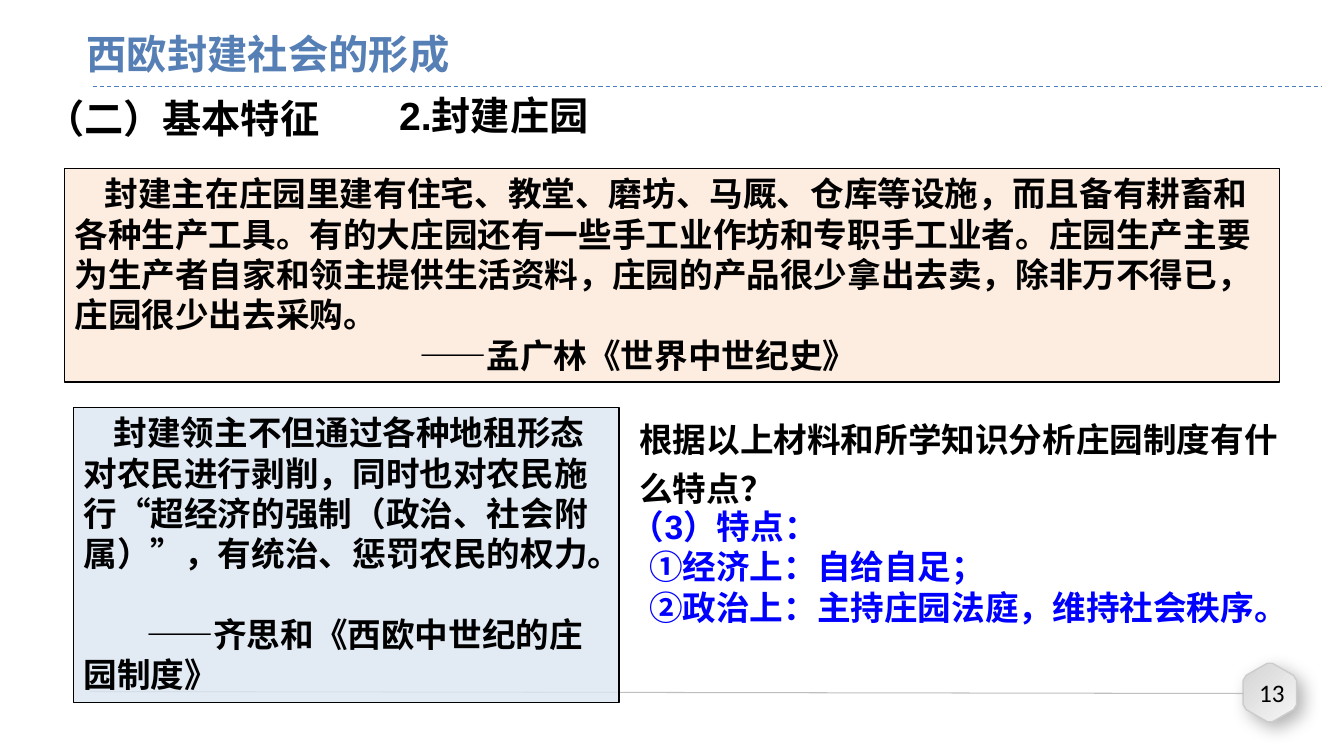
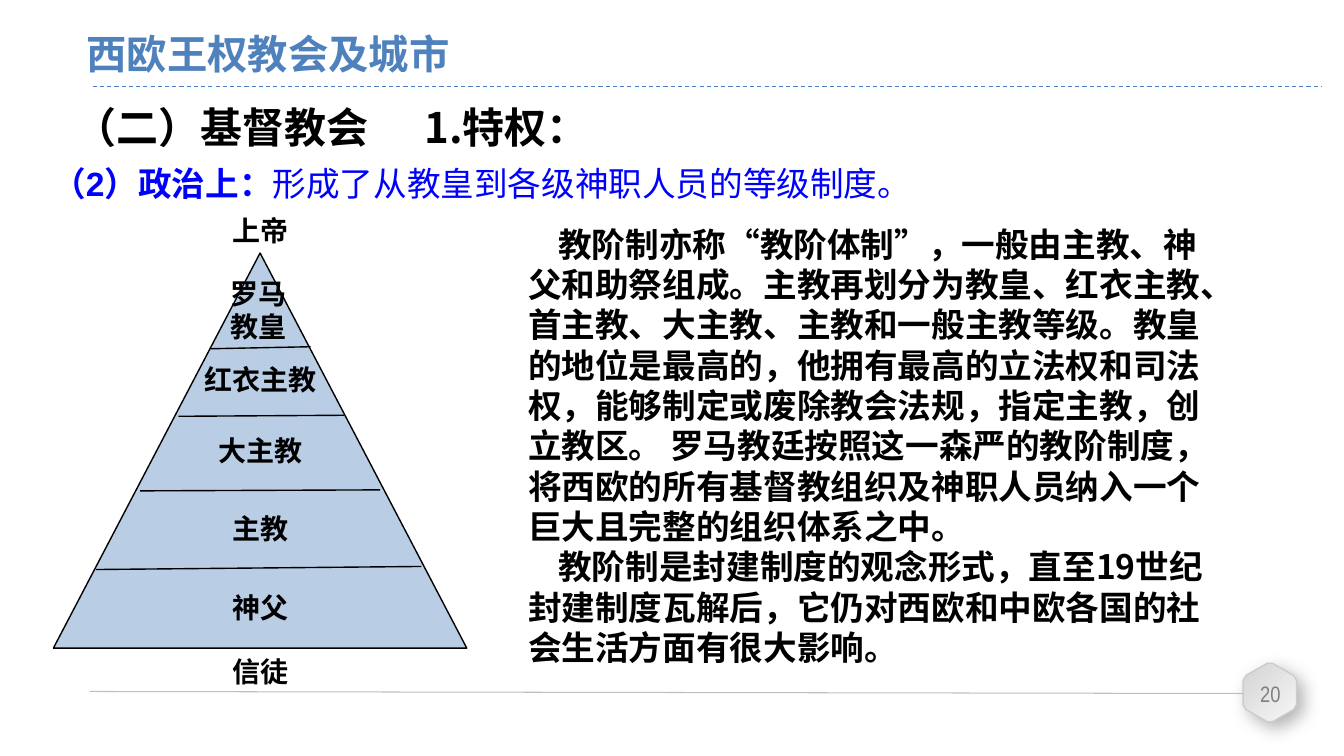
import pptx
import pptx.util
import pptx.dml.color
import pptx.enum.dml
import pptx.enum.shapes
import pptx.enum.text
import pptx.oxml.ns
import lxml.etree

Inches = pptx.util.Inches
Pt = pptx.util.Pt
RGBColor = pptx.dml.color.RGBColor
SHAPE = pptx.enum.shapes.MSO_SHAPE
ALIGN = pptx.enum.text.PP_ALIGN
ANCHOR = pptx.enum.text.MSO_ANCHOR
qn = pptx.oxml.ns.qn

BLACK = RGBColor(0x00, 0x00, 0x00)
BLUE = RGBColor(0x00, 0x00, 0xFF)
TITLE_BLUE = RGBColor(0x4F, 0x81, 0xBD)
SOFT_BLUE = RGBColor(0x55, 0x7F, 0xB5)
RULE_BLUE = RGBColor(0x4B, 0x7E, 0xBC)
RULE_GREY = RGBColor(0xBF, 0xBF, 0xBF)
BADGE_EDGE = RGBColor(0xCC, 0xCC, 0xCC)
BADGE_DARK = RGBColor(0xD4, 0xD4, 0xD4)
BADGE_LIGHT = RGBColor(0xF7, 0xF7, 0xF7)
NUMBER_GREY = RGBColor(0x80, 0x80, 0x80)
PEACH = RGBColor(0xFD, 0xEA, 0xDA)
PALE_BLUE = RGBColor(0xDC, 0xE6, 0xF2)
PYRAMID_BLUE = RGBColor(0xB9, 0xCD, 0xE5)

CJK = "Noto Sans CJK SC"
BADGE_POINTS = [
    (12.33, 6.75), (12.36, 6.7), (12.57, 6.58), (12.62, 6.58),
    (12.83, 6.7), (12.86, 6.75), (12.86, 6.99), (12.83, 7.04),
    (12.62, 7.16), (12.57, 7.16), (12.36, 7.04), (12.33, 6.99),
]


class Slides:
    def __init__(self):
        self.deck = pptx.Presentation()
        self.deck.slide_width = Inches(13.33)
        self.deck.slide_height = Inches(7.5)
        self.page = None

    def start(self, title, color):
        self.page = self.deck.slides.add_slide(self.deck.slide_layouts[6])
        self.badge()
        self.line(0.89, 6.86, 12.33, 6.88, RULE_GREY, 0.75)
        rule = self.line(0.92, 0.86, 13.11, 0.86, RULE_BLUE, 0.75)
        rule.line.dash_style = pptx.enum.dml.MSO_LINE.DASH
        self.text((0.76, 0.25, 11.5, 0.56), [title], 28.8, color=color, anchor=ANCHOR.MIDDLE)

    def badge(self):
        points = [(Inches(x), Inches(y)) for x, y in BADGE_POINTS]
        builder = self.page.shapes.build_freeform(*points[0])
        builder.add_line_segments(points[1:], close=True)
        badge = builder.convert_to_shape()
        badge.fill.gradient()
        badge.fill.gradient_angle = 315
        stops = zip(badge.fill.gradient_stops, (0.02, 1), (BADGE_DARK, BADGE_LIGHT))
        for stop, position, color in stops:
            stop.position = position
            stop.color.rgb = color
        badge.line.color.rgb = BADGE_EDGE
        badge.line.width = Pt(1)
        badge.shadow.inherit = False
        effects = badge._element.spPr.find(qn("a:effectLst"))
        shadow = lxml.etree.SubElement(
            effects, qn("a:outerShdw"), blurRad=str(Pt(13)), dist=str(Pt(6)),
            dir="2700000", algn="tl", rotWithShape="0")
        tint = lxml.etree.SubElement(shadow, qn("a:srgbClr"), val=str(BLACK))
        lxml.etree.SubElement(tint, qn("a:alpha"), val="30000")

    def line(self, x1, y1, x2, y2, color=BLACK, width=1):
        line = self.page.shapes.add_connector(
            pptx.enum.shapes.MSO_CONNECTOR.STRAIGHT,
            Inches(x1), Inches(y1), Inches(x2), Inches(y2))
        line.line.color.rgb = color
        line.line.width = Pt(width)
        lxml.etree.SubElement(line._element.spPr, qn("a:effectLst"))
        return line

    def shape(self, kind, place, fill, opacity=100):
        shape = self.page.shapes.add_shape(kind, *map(Inches, place))
        shape.shadow.inherit = False
        shape.fill.solid()
        shape.fill.fore_color.rgb = fill
        if opacity < 100:
            tint = shape._element.spPr.find(qn("a:solidFill"))[0]
            lxml.etree.SubElement(tint, qn("a:alpha"), val=str(opacity * 1000))
        shape.line.color.rgb = BLACK
        shape.line.width = Pt(1)
        return shape

    def style_span(self, span, size, font, color, bold):
        span.font.size = Pt(size)
        span.font.name = font
        span.font.bold = bold
        span.font.color.rgb = color
        latin = span._r.rPr.find(qn("a:latin"))
        latin.addnext(lxml.etree.Element(qn("a:ea"), typeface=CJK))

    def set_text(self, box, lines, size, font=CJK, color=BLACK, bold=True,
                 align=ALIGN.LEFT, anchor=ANCHOR.TOP, indents=()):
        frame = box.text_frame
        frame.word_wrap = True
        frame.vertical_anchor = anchor
        frame.text = "\n".join(lines)
        for para in frame.paragraphs:
            para.alignment = align
            for span in para.runs:
                self.style_span(span, size, font, color, bold)
        for para, indent in zip(frame.paragraphs, indents):
            para._p.get_or_add_pPr().set("indent", str(Inches(indent)))
        return frame

    def text(self, place, lines, size, **style):
        box = self.page.shapes.add_textbox(*map(Inches, place))
        return self.set_text(box, lines, size, **style)

    def panel(self, place, fill, lines, indents):
        box = self.shape(SHAPE.RECTANGLE, place, fill, opacity=81)
        return self.set_text(box, lines, 24, indents=indents)


def manor_slide(slides):
    slides.start("西欧封建社会的形成", SOFT_BLUE)
    slides.panel((0.64, 1.67, 12.05, 2.12), PEACH, [
        "封建主在庄园里建有住宅、教堂、磨坊、马厩、仓库等设施，而且备有耕畜和各种生产工具。"
        "有的大庄园还有一些手工业作坊和专职手工业者。庄园生产主要为生产者自家和领主提供生活资料，"
        "庄园的产品很少拿出去卖，除非万不得已，庄园很少出去采购。",
        "——孟广林《世界中世纪史》",
    ], (0.3, 3.42))
    rent = slides.panel((0.73, 4.04, 5.41, 2.93), PALE_BLUE, [
        "封建领主不但通过各种地租形态对农民进行剥削，同时也对农民施行“超经济的强制"
        "（政治、社会附属）”，有统治、惩罚农民的权力。",
        "——齐思和《西欧中世纪的庄园制度》",
    ], (0.3, 0.62))
    rent.paragraphs[1].space_before = Pt(28.8)

    question = slides.text((6.27, 4.04, 6.56, 1.04),
                           ["根据以上材料和所学知识分析庄园制度有什么特点？"], 24)
    question.margin_left = question.margin_right = Inches(0.07)
    question.margin_top = question.margin_bottom = Inches(0.04)
    question.paragraphs[0].line_spacing = 1.2
    question.paragraphs[0].space_after = Pt(6)
    slides.text((6.16, 4.97, 6.84, 1.31), [
        "（3）特点：",
        "①经济上：自给自足；",
        "②政治上：主持庄园法庭，维持社会秩序。",
    ], 24, font="Arial", color=BLUE, indents=(0, 0.18, 0.18))

    heading = slides.text((3.86, 0.86, 2.18, 0.57), ["2.封建庄园"], 28, font="Arial")
    heading.word_wrap = False
    slides.text((0.35, 0.87, 3.46, 0.59), ["（二）基本特征"], 28, anchor=ANCHOR.MIDDLE)
    slides.text((12.39, 6.67, 0.52, 0.33), ["13"], 18, font="Calibri", bold=False)


def church_slide(slides):
    slides.start("西欧王权教会及城市", TITLE_BLUE)
    slides.text((5.14, 2.17, 7.14, 4.54), [
        "教阶制亦称“教阶体制”，一般由主教、神父和助祭组成。主教再划分为教皇、红衣主教、首主教、"
        "大主教、主教和一般主教等级。教皇的地位是最高的，他拥有最高的立法权和司法权，"
        "能够制定或废除教会法规，指定主教，创立教区。 罗马教廷按照这一森严的教阶制度，"
        "将西欧的所有基督教组织及神职人员纳入一个巨大且完整的组织体系之中。",
        "教阶制是封建制度的观念形式，直至19世纪封建制度瓦解后，它仍对西欧和中欧各国的社会生活方面有很大影响。",
    ], 24, indents=(0.3, 0.3))

    politics = slides.text((0.42, 1.57, 11.05, 0.5), ["（2）政治上："], 24,
                           font="Arial", color=BLUE, align=ALIGN.JUSTIFY)
    span = politics.paragraphs[0].add_run()
    span.text = "形成了从教皇到各级神职人员的等级制度。"
    slides.style_span(span, 24, "Arial", BLUE, False)

    slides.shape(SHAPE.FLOWCHART_EXTRACT, (0.53, 2.51, 4.1, 3.92), PYRAMID_BLUE)
    for ends in [(2.09, 3.46, 3.08, 3.44), (1.77, 4.13, 3.41, 4.12),
                 (1.39, 4.87, 3.77, 4.86), (0.95, 5.65, 4.18, 5.62)]:
        slides.line(*ends)
    slides.text((1.67, 2.69, 1.79, 0.77), ["罗马", "教皇"], 20, align=ALIGN.CENTER)
    ranks = [("上帝", 2.07), ("红衣主教", 3.55), ("大主教", 4.25),
             ("主教", 5.03), ("神父", 5.81), ("信徒", 6.44)]
    for rank, top in ranks:
        slides.text((1.69, top, 1.79, 0.44), [rank], 20, align=ALIGN.CENTER)

    heading = slides.text((0.64, 0.87, 6.29, 0.77), ["（二）基督教会\t1.特权："], 30,
                          anchor=ANCHOR.MIDDLE)
    tabs = lxml.etree.SubElement(heading.paragraphs[0]._p.get_or_add_pPr(), qn("a:tabLst"))
    lxml.etree.SubElement(tabs, qn("a:tab"), pos=str(Inches(3.47)), algn="l")
    slides.text((12.34, 6.72, 0.52, 0.33), ["20"], 16, font="Arial Narrow", bold=False,
                color=NUMBER_GREY, align=ALIGN.CENTER, anchor=ANCHOR.MIDDLE)


def main():
    slides = Slides()
    manor_slide(slides)
    church_slide(slides)
    slides.deck.save("out.pptx")


if __name__ == "__main__":
    main()
